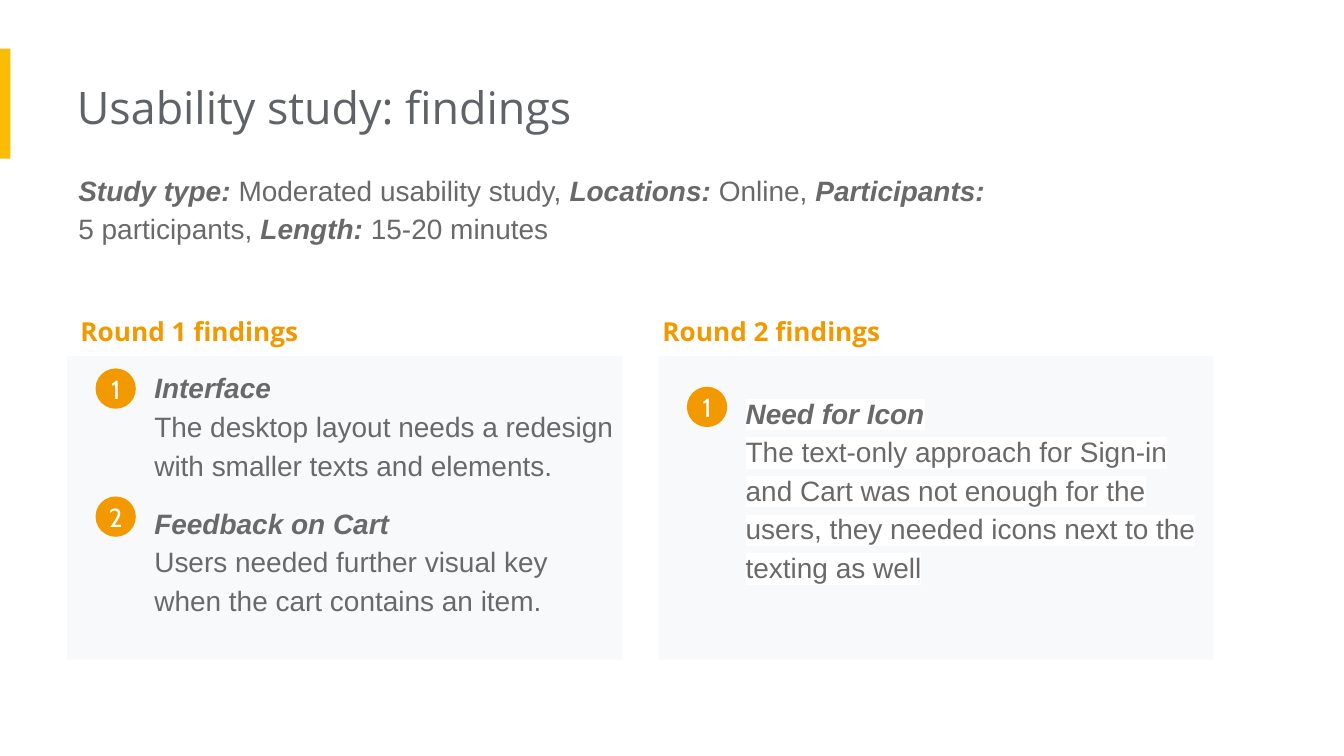
import pptx
import pptx.dml.color
import pptx.enum.shapes
import pptx.enum.text
import pptx.oxml
import pptx.oxml.ns
import pptx.util

Pt = pptx.util.Pt
SHAPES = pptx.enum.shapes.MSO_SHAPE
GREY, ORANGE, WHITE = "696969", "F29900", "FFFFFF"

deck = pptx.Presentation()
deck.slide_width, deck.slide_height = Pt(720), Pt(405)
slide = deck.slides.add_slide(deck.slide_layouts[6])


def add_block(kind, left, top, width, height, fill):
    block = slide.shapes.add_shape(kind, Pt(left), Pt(top), Pt(width), Pt(height))
    block.shadow.inherit = False
    block.fill.solid()
    block.fill.fore_color.rgb = pptx.dml.color.RGBColor.from_string(fill)
    block.line.fill.background()
    return block


def write(paragraphs, box=None, shape=None, size=15, font="Arial", color=GREY,
          bold=False, spacing=1.15, inset=7.2, highlight=None):
    """Fill a shape or a new text box; in each paragraph, *marked* parts are bold italic."""
    target = shape or slide.shapes.add_textbox(*[Pt(length) for length in box])
    frame = target.text_frame
    frame.word_wrap = True
    margin = 0 if shape else 7.2
    frame.margin_top = frame.margin_bottom = frame.margin_right = Pt(margin)
    frame.margin_left = Pt(inset)
    if shape:
        frame.vertical_anchor = pptx.enum.text.MSO_ANCHOR.MIDDLE
    for number, text in enumerate(paragraphs):
        paragraph = frame.add_paragraph() if number else frame.paragraphs[0]
        paragraph.line_spacing = spacing
        if shape:
            paragraph.alignment = pptx.enum.text.PP_ALIGN.CENTER
        for position, part in enumerate(text.split("*")):
            if not part:
                continue
            marked = position % 2 == 1
            run = paragraph.add_run()
            run.text = part
            run.font.size = Pt(size)
            run.font.bold = bold or marked
            run.font.italic = marked
            run.font.color.rgb = pptx.dml.color.RGBColor.from_string(color)
            if highlight:
                run.font.fill._xPr.append(pptx.oxml.parse_xml(
                    f'<a:highlight {pptx.oxml.ns.nsdecls("a")}>'
                    f'<a:srgbClr val="{highlight}"/></a:highlight>'))
            run.font.name = font


add_block(SHAPES.RECTANGLE, 0, 26, 5.6, 59, "FBBC04")
write(["Usability study: findings"], box=(41.2, 35.3, 485, 44), size=24,
      font="Open Sans", color="5F6368", spacing=1, inset=0)
write(["*Study type: *Moderated usability study, *Locations: *Online, *Participants:*",
       "5 participants, *Length: *15-20 minutes"],
      box=(42, 82.8, 620, 60), inset=0)

# Heading, heading left, panel left, highlight, findings (badge top, text top, paragraphs)
rounds = [
    ("Round 1 findings", 36, 36, None, [
        (197.4, 188.8, ["*Interface*",
                        "The desktop layout needs a redesign with smaller texts and elements."]),
        (266, 261.4, ["*Feedback on Cart*",
                      "Users needed further visual key when the cart contains an item."]),
    ]),
    ("Round 2 findings", 347.8, 352.8, WHITE, [
        (207.2, 202.3, ["*Need for Icon*",
                        "The text-only approach for Sign-in and Cart was not enough for the "
                        "users, they needed icons next to the texting as well"]),
    ]),
]

for heading, heading_left, panel_left, highlight, findings in rounds:
    add_block(SHAPES.RECTANGLE, panel_left, 190.8, 297.4, 162.6, "F8F9FA")
    write([heading], box=(heading_left, 159.1, 263, 32), size=14,
          font="Open Sans", color=ORANGE, bold=True)
    for number, (badge_top, text_top, finding) in enumerate(findings, 1):
        badge = add_block(SHAPES.OVAL, panel_left + 15.2, badge_top, 21.6, 21.6, ORANGE)
        write([str(number)], shape=badge, size=14, font="Cabin", color=WHITE,
              spacing=1, inset=0)
        write(finding, box=(panel_left + 39.6, text_top, 263, 80), highlight=highlight)

deck.save("out.pptx")
